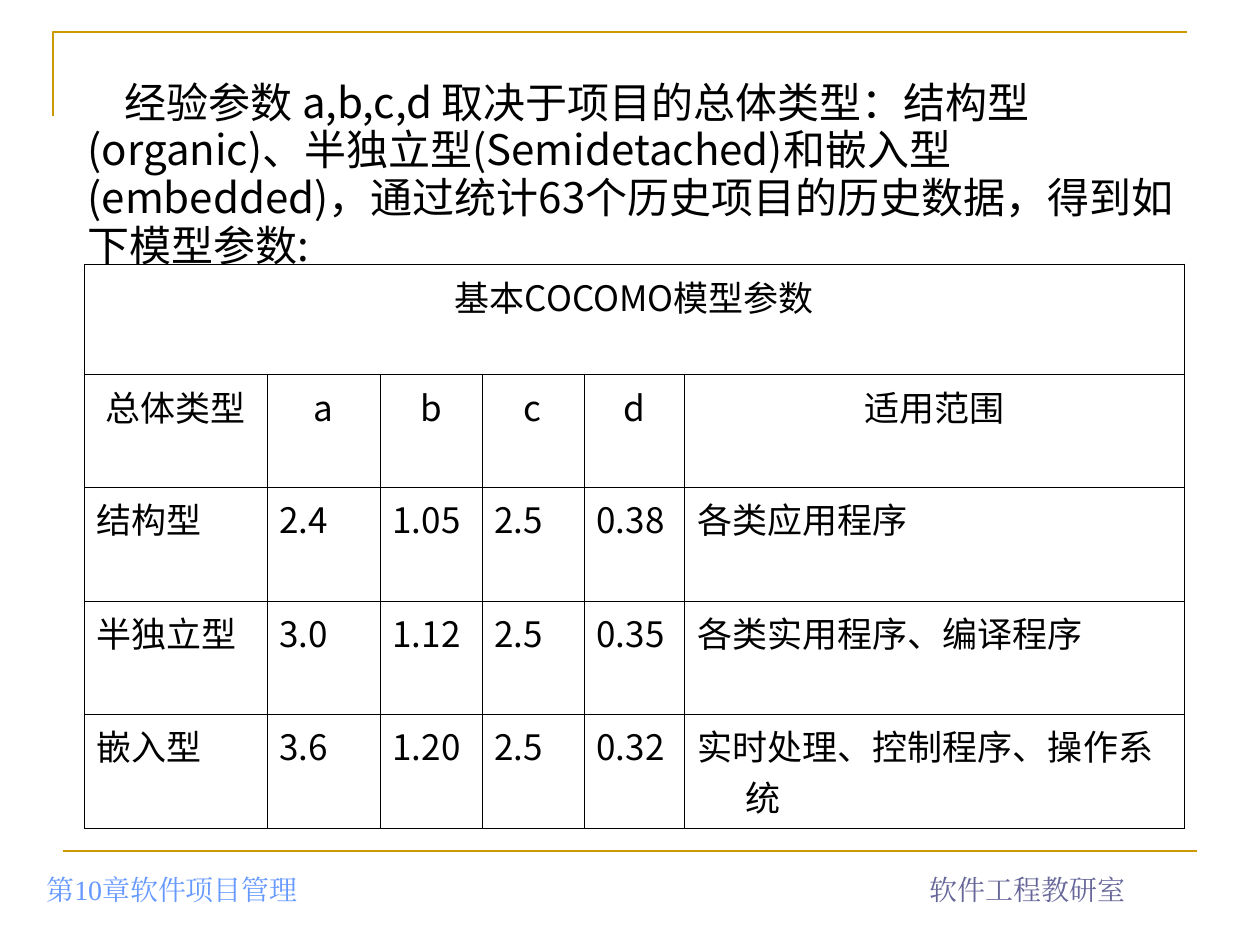
from lxml import etree
from pptx import Presentation
from pptx.dml.color import RGBColor
from pptx.enum.shapes import MSO_CONNECTOR
from pptx.enum.text import MSO_ANCHOR, MSO_AUTO_SIZE, PP_ALIGN
from pptx.oxml.ns import qn
from pptx.util import Pt

PX = 914400 // 126
LEFT, CENTER = PP_ALIGN.LEFT, PP_ALIGN.CENTER
MIDDLE, BOTTOM = MSO_ANCHOR.MIDDLE, MSO_ANCHOR.BOTTOM
LINE = MSO_CONNECTOR.STRAIGHT
FIXED = MSO_AUTO_SIZE.NONE
SANS, SERIF = "Noto Sans CJK SC", "Times New Roman"
BLACK, GOLD = "000000", "CC9900"

INTRO = ("经验参数 a,b,c,d 取决于项目的总体类型：结构型(organic)、"
         "半独立型(Semidetached)和嵌入型(embedded)，"
         "通过统计63个历史项目的历史数据，得到如下模型参数:")
CAPTION = "基本COCOMO模型参数"
ROWS = [
    ("总体类型", "a", "b", "c", "d", "适用范围"),
    ("结构型", "2.4", "1.05", "2.5", "0.38", "各类应用程序"),
    ("半独立型", "3.0", "1.12", "2.5", "0.35", "各类实用程序、编译程序"),
    ("嵌入型", "3.6", "1.20", "2.5", "0.32", "实时处理、控制程序、操作系统"),
]
WIDTHS = (183, 113, 102, 102, 101, 500)
HEIGHTS = (110, 113, 114, 113, 114)
FOOTERS = [  # text, box in px, alignment, colour
    ("第10章软件项目管理", (34, 849, 496, 63), LEFT, "6699FF"),
    ("软件工程教研室", (828, 849, 399, 63), CENTER, "666699"),
]


def rgb(code):
    return RGBColor.from_string(code)


def emu(*lengths):
    return [n * PX for n in lengths]


def write(frame, text, size, face, color, align):
    para = frame.paragraphs[0]
    para.text = text
    para.alignment = align
    font = para.font
    font.size = Pt(size)
    font.bold = False
    font.color.rgb = rgb(color)
    font.name = face
    props = para._p.pPr.find(qn("a:defRPr"))
    etree.SubElement(props, qn("a:ea"), typeface=face)
    return para


def indent(para, margin, first):
    props = para._p.pPr
    props.set("marL", str(margin * PX))
    props.set("indent", str(first * PX))


def stroke(shape):
    shape.line.color.rgb = rgb(GOLD)
    shape.line.width = Pt(1.5)


def border(cell):
    props = cell._tc.get_or_add_tcPr()
    for i, side in enumerate("LRTB"):
        line = etree.Element(qn("a:ln" + side), w=str(Pt(0.45)))
        fill = etree.SubElement(line, qn("a:solidFill"))
        etree.SubElement(fill, qn("a:srgbClr"), val=BLACK)
        props.insert(i, line)


def frame_lines(slide):
    path = slide.shapes.build_freeform(*emu(53, 116))
    path.add_line_segments([emu(53, 32), emu(1187, 32)], close=False)
    corner = path.convert_to_shape()
    corner.fill.background()
    corner.shadow.inherit = False
    stroke(corner)
    rule = slide.shapes.add_connector(LINE, *emu(63, 851, 1197, 851))
    stroke(rule)
    etree.SubElement(rule._element.spPr, qn("a:effectLst"))


def footers(slide):
    for text, box, align, color in FOOTERS:
        frame = slide.shapes.add_textbox(*emu(*box)).text_frame
        frame.word_wrap = True
        frame.vertical_anchor = BOTTOM
        write(frame, text, 16, SERIF, color, align)


def intro(slide):
    title = slide.shapes.title
    title.left, title.top, title.width, title.height = emu(75, 96, 1121, 159)
    frame = title.text_frame
    frame.auto_size = FIXED
    frame.word_wrap = True
    frame.vertical_anchor = MIDDLE
    para = write(frame, INTRO, 24, SANS, BLACK, LEFT)
    para.line_spacing = 0.95
    indent(para, 0, 37)


def params(slide):
    box = emu(84, 264, sum(WIDTHS), sum(HEIGHTS))
    rows = [(CAPTION,) + ("",) * (len(WIDTHS) - 1)] + ROWS
    table = slide.shapes.add_table(len(rows), len(WIDTHS), *box).table
    table.first_row = table.horz_banding = False
    for col, width in zip(table.columns, WIDTHS):
        col.width = width * PX
    for row, height in zip(table.rows, HEIGHTS):
        row.height = height * PX
    for r, texts in enumerate(rows):
        for c, text in enumerate(texts):
            cell = table.cell(r, c)
            cell.fill.background()
            border(cell)
            if text:
                align = CENTER if r < 2 else LEFT
                para = write(cell.text_frame, text, 20, SANS, BLACK, align)
                indent(para, 48, -48)
    table.cell(0, 0).merge(table.cell(0, len(WIDTHS) - 1))


def main():
    deck = Presentation()
    deck.slide_width, deck.slide_height = emu(1260, 945)
    slide = deck.slides.add_slide(deck.slide_layouts[5])
    frame_lines(slide)
    footers(slide)
    intro(slide)
    params(slide)
    deck.save("out.pptx")


if __name__ == "__main__":
    main()
